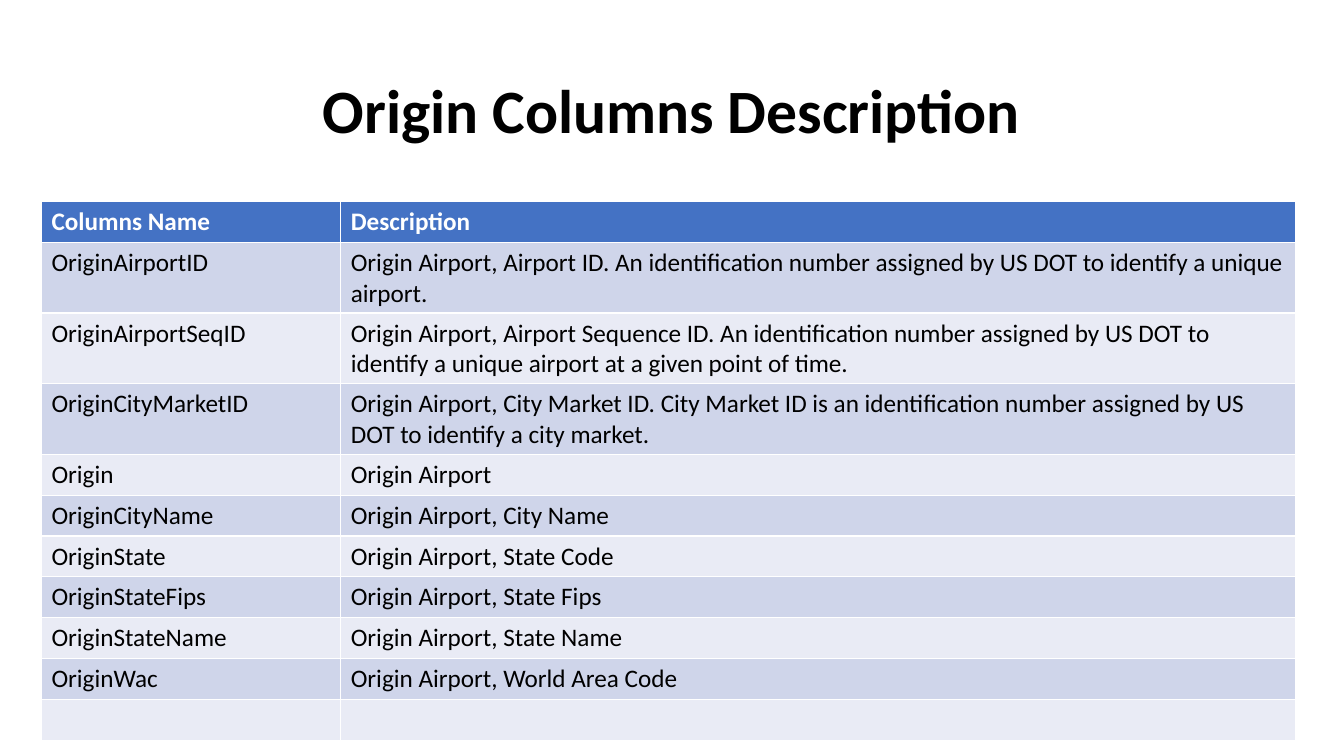
from pptx import Presentation
from pptx.dml.color import RGBColor
from pptx.enum import text
from pptx.util import Pt

TITLE = "Origin Columns Description"
ROWS = [
    ("Columns Name", "Description"),
    ("OriginAirportID", "Origin Airport, Airport ID. An identification number "
     "assigned by US DOT to identify a unique airport."),
    ("OriginAirportSeqID", "Origin Airport, Airport Sequence ID. An identification number "
     "assigned by US DOT to identify a unique airport at a given point of time."),
    ("OriginCityMarketID", "Origin Airport, City Market ID. City Market ID is an "
     "identification number assigned by US DOT to identify a city market."),
    ("Origin", "Origin Airport"),
    ("OriginCityName", "Origin Airport, City Name"),
    ("OriginState", "Origin Airport, State Code"),
    ("OriginStateFips", "Origin Airport, State Fips"),
    ("OriginStateName", "Origin Airport, State Name"),
    ("OriginWac", "Origin Airport, World Area Code"),
    ("", ""),
]
COLUMN_WIDTHS = (213.8, 681.8)
ROW_HEIGHT = 29.2
TABLE_LEFT, TABLE_TOP = 29.6, 144
HEADER_FILL, BAND_FILLS = "4472C4", ("E9EBF5", "CFD5EA")
TITLE_FORMAT = {"name": "Calibri", "size": Pt(44), "bold": True}
HEADER_FORMAT = {"name": "Calibri", "size": Pt(18), "bold": True}
BODY_FORMAT = HEADER_FORMAT | {"bold": False}


def color(value):
    return RGBColor.from_string(value)


def write(paragraph, content, font_format, font_color):
    """Put content in the paragraph and format it, even when it is empty."""
    if content:
        font = paragraph.add_run().font
        paragraph.runs[0].text = content
    else:
        font = paragraph.font
    for name, value in font_format.items():
        setattr(font, name, value)
    font.color.rgb = color(font_color)


def add_title(slide):
    shape = slide.shapes.add_textbox(Pt(66), Pt(28.75), Pt(828), Pt(104.4))
    frame = shape.text_frame
    frame.word_wrap = True
    frame.vertical_anchor = text.MSO_ANCHOR.MIDDLE
    paragraph = frame.paragraphs[0]
    paragraph.alignment = text.PP_ALIGN.CENTER
    paragraph.line_spacing = 0.9
    write(paragraph, TITLE, TITLE_FORMAT, "000000")


def add_description_table(slide):
    table = slide.shapes.add_table(
        len(ROWS), len(COLUMN_WIDTHS), Pt(TABLE_LEFT), Pt(TABLE_TOP),
        Pt(sum(COLUMN_WIDTHS)), Pt(ROW_HEIGHT * len(ROWS))).table
    for column, width in zip(table.columns, COLUMN_WIDTHS):
        column.width = Pt(width)
    for index, (row, contents) in enumerate(zip(table.rows, ROWS)):
        row.height = Pt(ROW_HEIGHT)
        header = index == 0
        for cell, content in zip(row.cells, contents):
            cell.fill.solid()
            cell.fill.fore_color.rgb = color(HEADER_FILL if header else BAND_FILLS[index % 2])
            write(cell.text_frame.paragraphs[0], content,
                  HEADER_FORMAT if header else BODY_FORMAT,
                  "FFFFFF" if header else "000000")


def main():
    presentation = Presentation()
    presentation.slide_width, presentation.slide_height = Pt(960), Pt(540)
    slide = presentation.slides.add_slide(presentation.slide_layouts[6])
    add_title(slide)
    add_description_table(slide)
    presentation.save("out.pptx")


if __name__ == "__main__":
    main()
